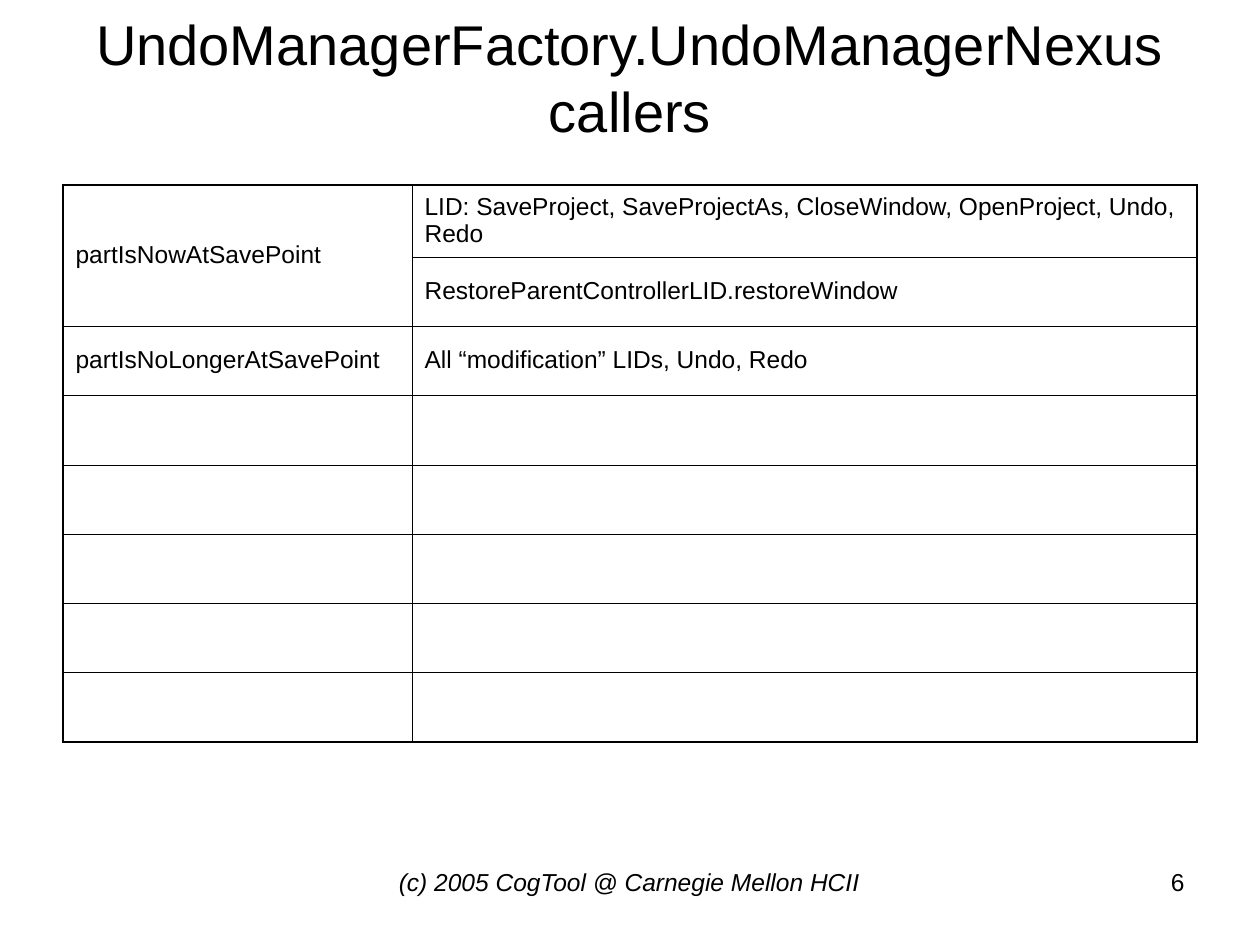
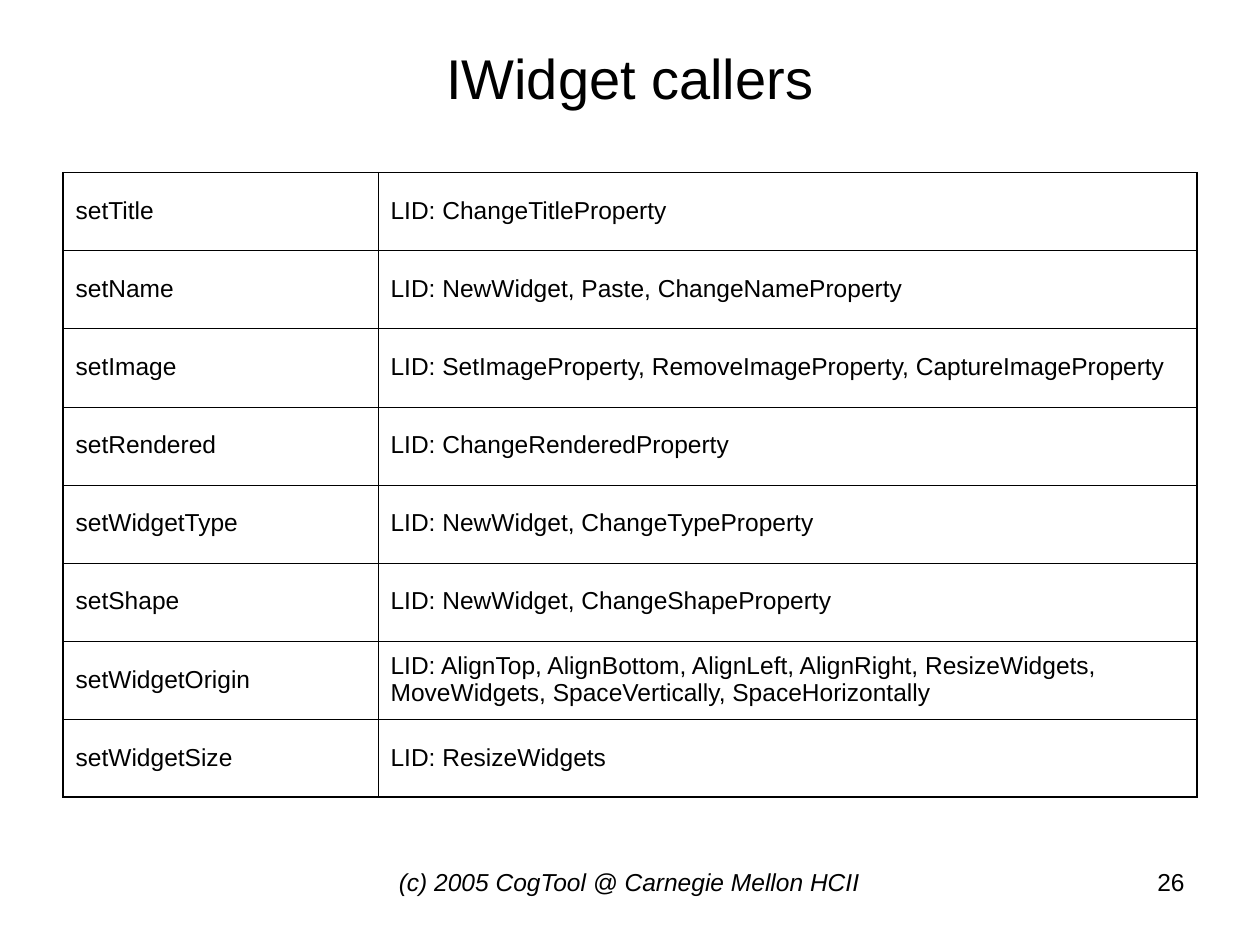
from dataclasses import dataclass

from lxml import etree
from pptx import Presentation
from pptx.dml.color import RGBColor
from pptx.enum.text import MSO_ANCHOR, MSO_AUTO_SIZE, PP_ALIGN
from pptx.oxml.ns import qn
from pptx.util import Inches, Pt

LEFT, CENTER, RIGHT = PP_ALIGN.LEFT, PP_ALIGN.CENTER, PP_ALIGN.RIGHT
TOP, MIDDLE = MSO_ANCHOR.TOP, MSO_ANCHOR.MIDDLE
NO_AUTOFIT = MSO_AUTO_SIZE.NONE

COLORS = {"text": "000000", "border": "000000", "background": "FFFFFF"}
FONT = "Arial"
TITLE_SIZE, BODY_SIZE = 32, 14
OUTER_BORDER, INNER_BORDER = 1.08, 0.45
MARGIN, CONTENT_WIDTH = 0.5, 9
FOOTER_TOP, FOOTER_HEIGHT = 6.83, 0.52
COPYRIGHT = "(c) 2005 CogTool @ Carnegie Mellon HCII"


@dataclass(frozen=True)
class CallerSlide:
    title: str
    number: int
    table_top: float
    method_width: float
    row_heights: list[float]
    callers: list[tuple[str, str]]
    merged_rows: tuple[int, int] | None = None


SLIDES = [
    CallerSlide(
        title="UndoManagerFactory.UndoManagerNexus callers",
        number=6,
        table_top=1.47,
        method_width=2.77,
        row_heights=[0.57] + [0.55] * 7,
        callers=[
            ("partIsNowAtSavePoint",
             "LID: SaveProject, SaveProjectAs, CloseWindow, OpenProject, Undo, Redo"),
            ("", "RestoreParentControllerLID.restoreWindow"),
            ("partIsNoLongerAtSavePoint", "All “modification” LIDs, Undo, Redo"),
        ],
        merged_rows=(0, 1),
    ),
    CallerSlide(
        title="IWidget callers",
        number=26,
        table_top=1.37,
        method_width=2.5,
        row_heights=[0.62] * 8,
        callers=[
            ("setTitle", "LID: ChangeTitleProperty"),
            ("setName", "LID: NewWidget, Paste, ChangeNameProperty"),
            ("setImage",
             "LID: SetImageProperty, RemoveImageProperty, CaptureImageProperty"),
            ("setRendered", "LID: ChangeRenderedProperty"),
            ("setWidgetType", "LID: NewWidget, ChangeTypeProperty"),
            ("setShape", "LID: NewWidget, ChangeShapeProperty"),
            ("setWidgetOrigin",
             "LID: AlignTop, AlignBottom, AlignLeft, AlignRight, ResizeWidgets, "
             "MoveWidgets, SpaceVertically, SpaceHorizontally"),
            ("setWidgetSize", "LID: ResizeWidgets"),
        ],
    ),
]


def write_text(text_frame, text: str, *, size: float = BODY_SIZE, align=LEFT,
               italic: bool = False, line_spacing: float = 1.0) -> None:
    text_frame.word_wrap = True
    paragraph = text_frame.paragraphs[0]
    paragraph.alignment = align
    paragraph.line_spacing = line_spacing
    run = paragraph.add_run()
    run.text = text
    run.font.name = FONT
    run.font.size = Pt(size)
    run.font.italic = italic
    run.font.color.rgb = RGBColor.from_string(COLORS["text"])


def add_title(slide, text: str) -> None:
    title = slide.shapes.title
    title.left, title.top = Inches(MARGIN), Inches(0.3)
    title.width, title.height = Inches(CONTENT_WIDTH), Inches(0.62)
    title.text_frame.auto_size = NO_AUTOFIT
    title.text_frame.vertical_anchor = MIDDLE
    write_text(title.text_frame, text, size=TITLE_SIZE, align=CENTER)


def add_footer_text(slide, text: str, left: float, width: float, **text_format) -> None:
    box = slide.shapes.add_textbox(Inches(left), Inches(FOOTER_TOP),
                                   Inches(width), Inches(FOOTER_HEIGHT))
    box.text_frame.vertical_anchor = TOP
    write_text(box.text_frame, text, **text_format)


def set_borders(cell, outer_sides: dict[str, bool]) -> None:
    properties = cell._tc.get_or_add_tcPr()
    for position, (side, is_outer) in enumerate(outer_sides.items()):
        width = OUTER_BORDER if is_outer else INNER_BORDER
        line = etree.Element(qn(f"a:ln{side}"), w=str(int(Pt(width))))
        fill = etree.SubElement(line, qn("a:solidFill"))
        etree.SubElement(fill, qn("a:srgbClr"), val=COLORS["border"])
        properties.insert(position, line)


def add_caller_table(slide, content: CallerSlide) -> None:
    row_count = len(content.row_heights)
    widths = [content.method_width, CONTENT_WIDTH - content.method_width]
    table = slide.shapes.add_table(
        row_count, len(widths), Inches(MARGIN), Inches(content.table_top),
        Inches(CONTENT_WIDTH), Inches(sum(content.row_heights))).table
    table.first_row = table.horz_banding = False
    for column, width in zip(table.columns, widths):
        column.width = Inches(width)
    for row, height in zip(table.rows, content.row_heights):
        row.height = Inches(height)

    last_row, last_column = row_count - 1, len(widths) - 1
    for row_index, row in enumerate(table.rows):
        for column_index, cell in enumerate(row.cells):
            cell.vertical_anchor = MIDDLE
            cell.fill.background()
            set_borders(cell, {"L": column_index == 0, "R": column_index == last_column,
                               "T": row_index == 0, "B": row_index == last_row})
    for row_index, texts in enumerate(content.callers):
        for column_index, text in enumerate(texts):
            if text:
                write_text(table.cell(row_index, column_index).text_frame, text,
                           line_spacing=0.95)
    if content.merged_rows:
        first, last = content.merged_rows
        table.cell(first, 0).merge(table.cell(last, 0))


def add_caller_slide(presentation, content: CallerSlide) -> None:
    slide = presentation.slides.add_slide(presentation.slide_layouts[5])
    slide.background.fill.solid()
    slide.background.fill.fore_color.rgb = RGBColor.from_string(COLORS["background"])
    add_title(slide, content.title)
    add_caller_table(slide, content)
    add_footer_text(slide, COPYRIGHT, 2.83, 4.33, align=CENTER, italic=True)
    add_footer_text(slide, str(content.number), 7.17, 2.33, align=RIGHT)


def main() -> None:
    presentation = Presentation()
    presentation.slide_width, presentation.slide_height = Inches(10), Inches(7.5)
    for content in SLIDES:
        add_caller_slide(presentation, content)
    presentation.save("out.pptx")


if __name__ == "__main__":
    main()
